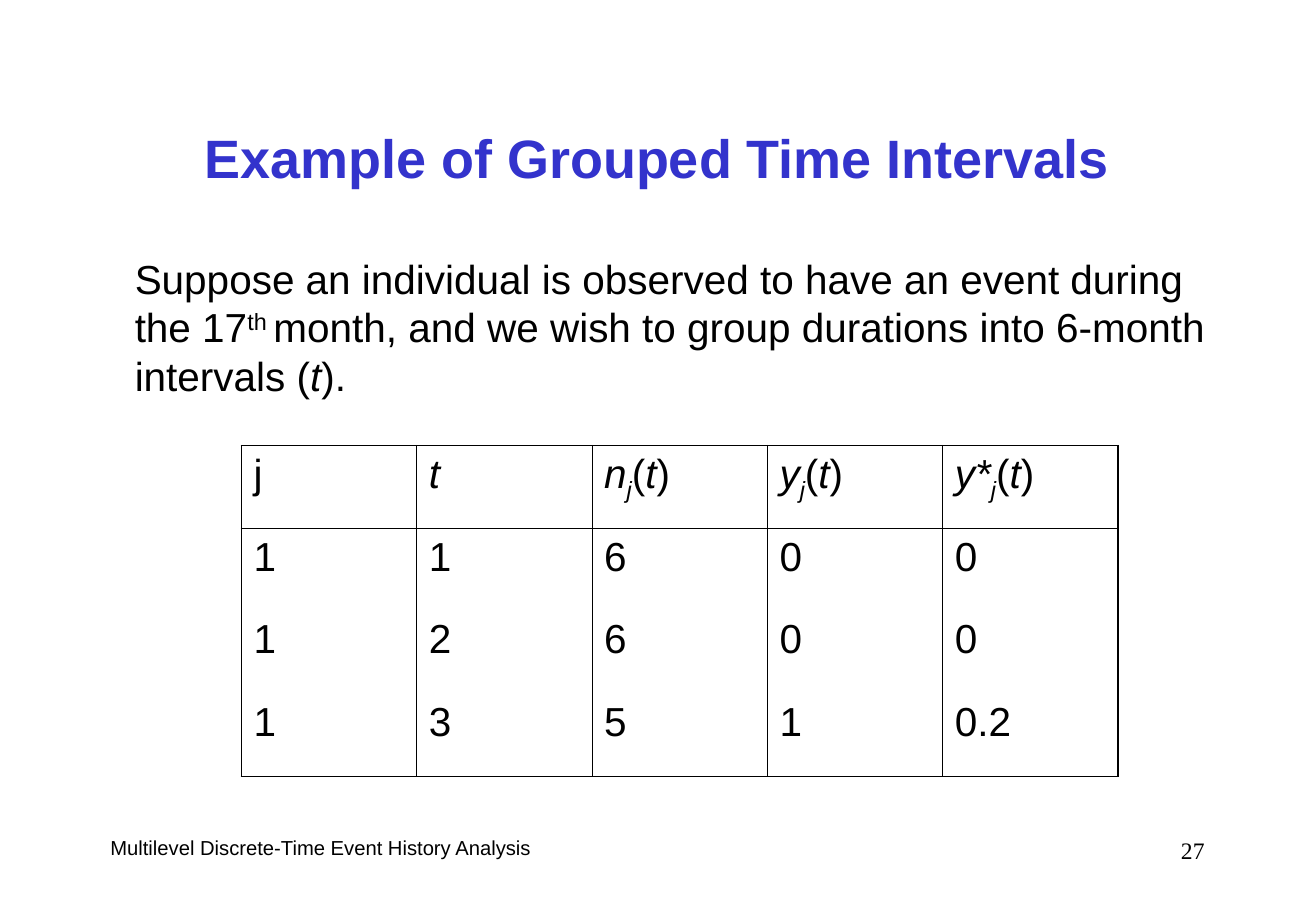
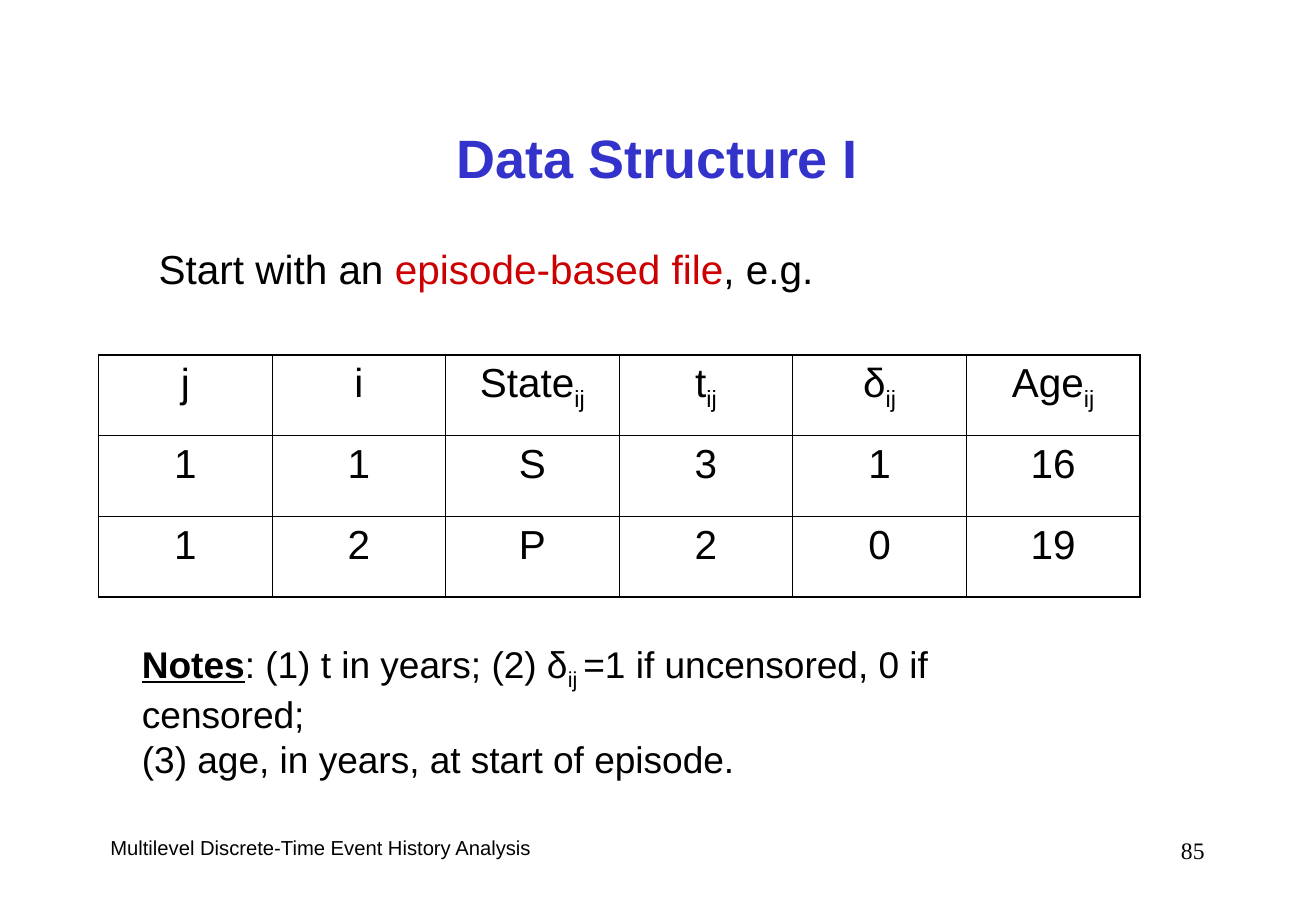
"""Two slides on discrete-time event history data, each with a title, text and a table."""
from dataclasses import dataclass

from lxml.etree import SubElement
from pptx import Presentation
from pptx.dml.color import RGBColor
from pptx.enum.text import MSO_ANCHOR, PP_ALIGN
from pptx.oxml.ns import qn
from pptx.util import Cm, Pt


@dataclass(frozen=True)
class Theme:
    font: str = "Arial"
    number_font: str = "Times New Roman"
    text: str = "000000"
    title: str = "3333CC"
    accent: str = "CC0000"
    title_size: int = 32
    body_size: int = 24
    note_size: int = 22
    footer_size: int = 12
    number_size: int = 14
    outer_line: float = 1.08
    inner_line: float = 0.45


T = Theme()
LEFT, CENTER, RIGHT = PP_ALIGN.LEFT, PP_ALIGN.CENTER, PP_ALIGN.RIGHT
FOOTER = "Multilevel Discrete-Time Event History Analysis"
TITLE_BOX = (2.06, 1.7, 23.39, 3.18)
FOOTER_BOX = (2.06, 17.35, 16.05, 1.27)
NUMBER_BOX = (19.71, 17.35, 5.74, 1.27)


def of_t(name):
    return [(name, "i"), ("j", "i_"), "(", ("t", "i"), ")"]


def sub_ij(name):
    return [name, ("ij", "_")]


SLIDES = [
    {
        "title": "Example of Grouped Time Intervals",
        "number": "27",
        "texts": [
            ((2.57, 5.18, 23.6, 3.3), T.body_size, [
                ["Suppose an individual is observed to have an event during"],
                ["the 17", ("th ", "^"), "month, and we wish to group durations into 6-month"],
                ["intervals (", ("t", "i"), ")."],
            ]),
        ],
        "table": {
            "at": (5.05, 9.32), "width": 18.34, "row": 1.73, "align": LEFT, "ruled": False,
            "rows": [
                [["j"], [("t", "i")], of_t("n"), of_t("y"), of_t("y*")],
                ["1", "1", "6", "0", "0"],
                ["1", "2", "6", "0", "0"],
                ["1", "3", "5", "1", "0.2"],
            ],
        },
    },
    {
        "title": "Data Structure I",
        "number": "85",
        "texts": [
            ((3.07, 4.98, 15, 1.27), T.body_size, [
                ["Start with an ", ("episode-based file", "r"), ", e.g."],
            ]),
            ((2.72, 13.28, 18.5, 3.3), T.note_size, [
                [("Notes", "bu"), ": (1) t in years; (2) δ", ("ij ", "_"),
                 "=1 if uncensored, 0 if censored;"],
                ["(3) age, in years, at start of episode."],
            ]),
        ],
        "table": {
            "at": (2.06, 7.42), "width": 21.79, "row": 1.69, "align": CENTER, "ruled": True,
            "rows": [
                ["j", "i", sub_ij("State"), sub_ij("t"), sub_ij("δ"), sub_ij("Age")],
                ["1", "1", "S", "3", "1", "16"],
                ["1", "2", "P", "2", "0", "19"],
            ],
        },
    },
]


def write(p, runs, size, color=T.text, font=T.font, bold=False, align=LEFT):
    p.alignment = align
    p.font.name, p.font.size, p.font.bold = font, Pt(size), bold
    p.font.color.rgb = RGBColor.from_string(color)
    for run in runs:
        text, flags = (run, "") if isinstance(run, str) else run
        r = p.add_run()
        r.text = text
        if "i" in flags:
            r.font.italic = True
        if "b" in flags:
            r.font.bold = True
        if "u" in flags:
            r.font.underline = True
        if "r" in flags:
            r.font.color.rgb = RGBColor.from_string(T.accent)
        for mark, shift in (("^", "30000"), ("_", "-25000")):
            if mark in flags:
                r.font._element.set("baseline", shift)


def add_text(s, box, paragraphs, size, anchor=MSO_ANCHOR.TOP, **style):
    tf = s.shapes.add_textbox(*map(Cm, box)).text_frame
    tf.word_wrap = True
    tf.vertical_anchor = anchor
    for n, runs in enumerate(paragraphs):
        write(tf.add_paragraph() if n else tf.paragraphs[0], runs, size, **style)


def set_border(cell, side, width):
    ln = SubElement(cell._tc.get_or_add_tcPr(), qn(f"a:ln{side}"), w=str(Pt(width)))
    if width:
        fill = SubElement(ln, qn("a:solidFill"))
        SubElement(fill, qn("a:srgbClr"), val=T.text)
    else:
        SubElement(ln, qn("a:noFill"))


def add_table(s, spec_table):
    rows, (left, top) = spec_table["rows"], spec_table["at"]
    last_row, last_col = len(rows) - 1, len(rows[0]) - 1
    table = s.shapes.add_table(
        len(rows), len(rows[0]), Cm(left), Cm(top),
        Cm(spec_table["width"]), Cm(spec_table["row"] * len(rows))).table
    table.first_row = table.horz_banding = False

    def rule(edge, header_side):
        if edge:
            return T.outer_line
        return T.inner_line if spec_table["ruled"] or header_side else 0

    for i, row in enumerate(rows):
        for j, runs in enumerate(row):
            cell = table.cell(i, j)
            set_border(cell, "L", T.inner_line if j else T.outer_line)
            set_border(cell, "R", T.inner_line if j < last_col else T.outer_line)
            set_border(cell, "T", rule(i == 0, i == 1))
            set_border(cell, "B", rule(i == last_row, i == 0))
            cell.fill.background()
            p = cell.text_frame.paragraphs[0]
            p.space_before = Pt(6)
            write(p, runs if isinstance(runs, list) else [runs], T.body_size,
                  align=spec_table["align"])


def main():
    prs = Presentation()
    prs.slide_width, prs.slide_height = Cm(27.53), Cm(19.05)
    for content in SLIDES:
        s = prs.slides.add_slide(prs.slide_layouts[6])
        add_text(s, FOOTER_BOX, [[FOOTER]], T.footer_size)
        add_text(s, NUMBER_BOX, [[content["number"]]], T.number_size,
                 font=T.number_font, align=RIGHT)
        add_text(s, TITLE_BOX, [[content["title"]]], T.title_size, MSO_ANCHOR.MIDDLE,
                 color=T.title, bold=True, align=CENTER)
        for box, size, paragraphs in content["texts"]:
            add_text(s, box, paragraphs, size)
        add_table(s, content["table"])
    prs.save("out.pptx")


if __name__ == "__main__":
    main()
